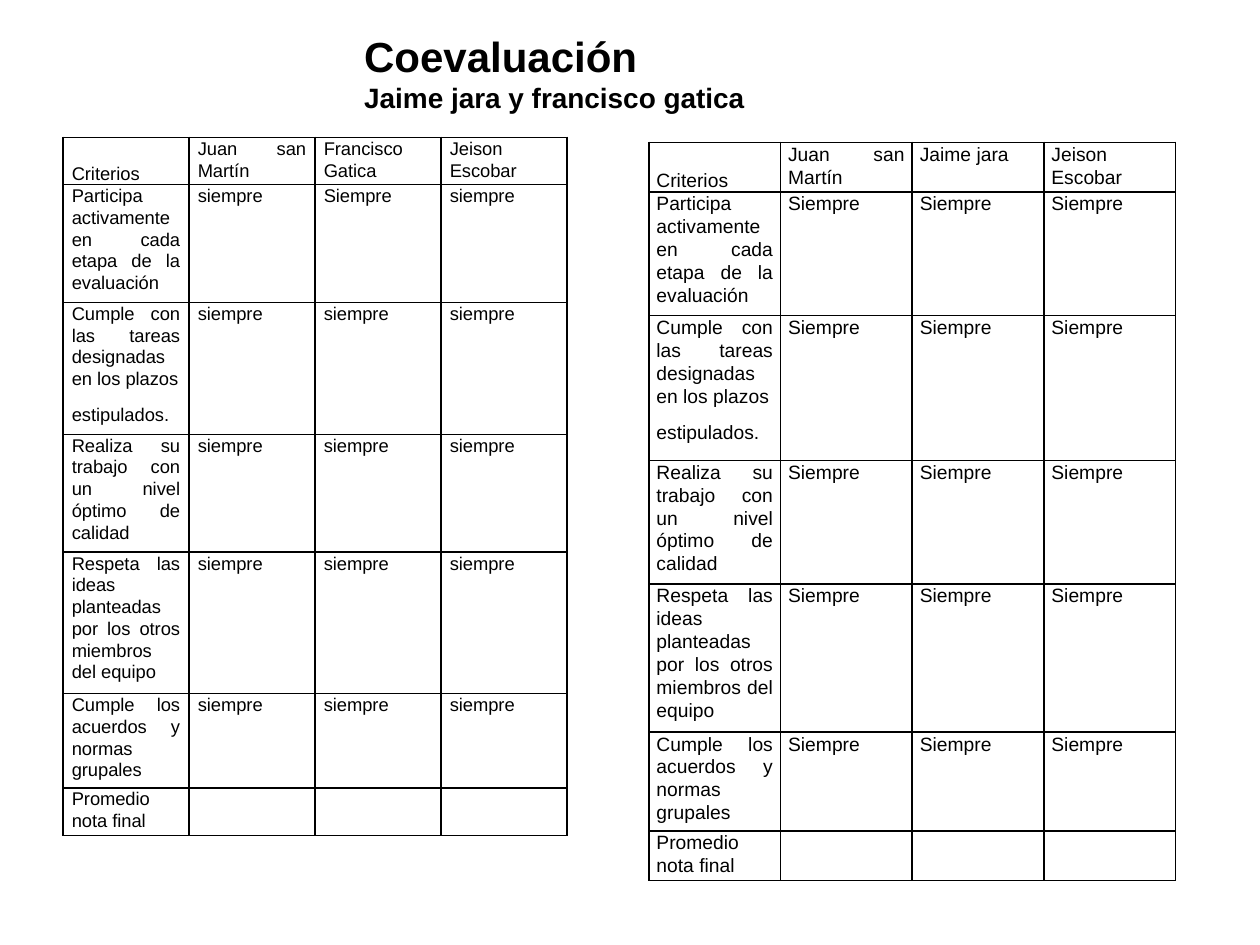
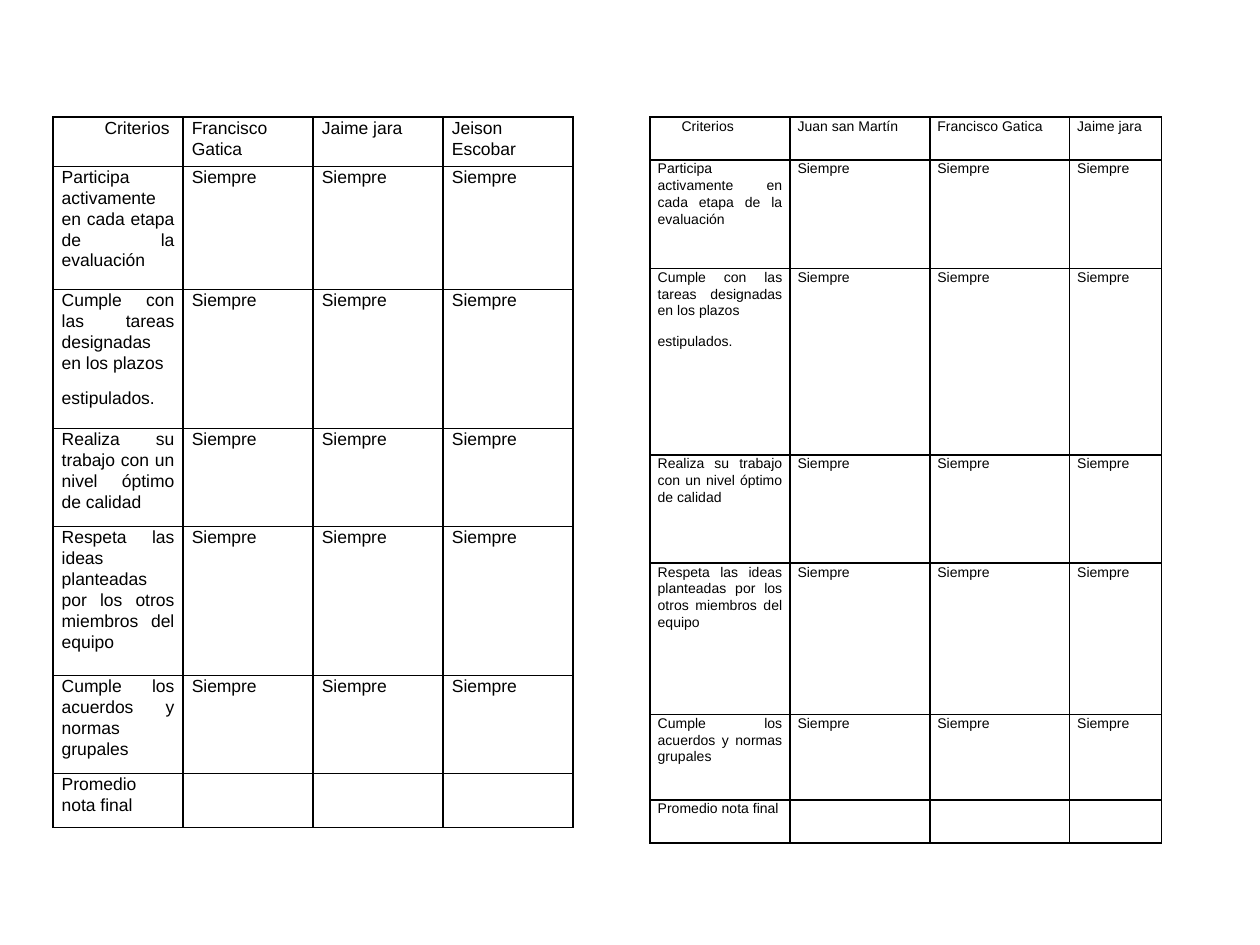
from lxml import etree
from pptx import Presentation
from pptx.dml.color import RGBColor
from pptx.enum import text
from pptx.oxml import ns
from pptx.util import Inches, Pt

INK = "000000"
TITLE_ONLY, BLANK = 5, 6
TOP, BOTTOM = text.MSO_ANCHOR.TOP, text.MSO_ANCHOR.BOTTOM

TASKS = [
    "Participa activamente en cada etapa de la evaluación",
    "Cumple con las tareas designadas en los plazos\nestipulados.",
    "Realiza su trabajo con un nivel óptimo de calidad",
    "Respeta las ideas planteadas por los otros miembros del equipo",
    "Cumple los acuerdos y normas grupales",
]
JUAN, PACO = "Juan san Martín", "Francisco Gatica"
JAIME, JEISON = "Jaime jara", "Jeison Escobar"


def color(code):
    return RGBColor.from_string(code)


class Deck:
    """Holds the shared style and the current slide."""

    font = {"name": "Arial", "bold": False}
    para = {"alignment": text.PP_ALIGN.JUSTIFY, "line_spacing": 1.07,
            "space_after": Pt(8)}

    def __init__(self):
        self.prs = Presentation()
        self.prs.slide_width, self.prs.slide_height = Inches(10), Inches(7.5)
        self.slide = None

    def add(self, layout):
        self.slide = self.prs.slides.add_slide(self.prs.slide_layouts[layout])

    def style(self, par, para, **font):
        for key, val in para.items():
            setattr(par, key, val)
        for run in par.runs:
            for key, val in {**self.font, **font}.items():
                setattr(run.font, key, val)
            run.font.color.rgb = color(INK)

    def title(self, box, lines):
        """Fill the title placeholder with (words, size) lines."""
        shape = self.slide.shapes.title
        names = ("left", "top", "width", "height")
        for name, val in zip(names, box):
            setattr(shape, name, Inches(val))
        frame = shape.text_frame
        frame.text = "\n".join(words for words, _ in lines)
        frame.word_wrap = True
        frame.auto_size = text.MSO_AUTO_SIZE.SHAPE_TO_FIT_TEXT
        frame.vertical_anchor = text.MSO_ANCHOR.MIDDLE
        for par, (_, size) in zip(frame.paragraphs, lines):
            self.style(par, {"alignment": text.PP_ALIGN.LEFT},
                       size=Pt(size), bold=True)

    def border(self, cell):
        props = cell._tc.get_or_add_tcPr()
        for side in ("a:lnL", "a:lnR", "a:lnT", "a:lnB"):
            line = etree.SubElement(props, ns.qn(side), w=str(Pt(1)))
            fill = etree.SubElement(line, ns.qn("a:solidFill"))
            etree.SubElement(fill, ns.qn("a:srgbClr"), val=INK)

    def cell(self, cell, words, size, inset, indent=0, anchor=TOP):
        self.border(cell)
        cell.fill.background()
        look = {"margin_left": Inches(inset + indent),
                "margin_right": Inches(inset), "margin_top": 0,
                "margin_bottom": 0, "vertical_anchor": anchor}
        for key, val in look.items():
            setattr(cell, key, val)
        if words:
            cell.text_frame.text = words
            for par in cell.text_frame.paragraphs:
                self.style(par, self.para, size=Pt(size))

    def grid(self, left, top, cols, rows, peers, size, inset,
             mark="Siempre", odd=None, indent=0, anchor=TOP):
        """Draw one rating table; odd maps (row, column) to another mark."""
        data = [["Criterios", *peers]]
        data += [[task] + [mark] * len(peers) for task in TASKS]
        data += [["Promedio nota final"] + [""] * len(peers)]
        for (row, col), words in (odd or {}).items():
            data[row][col] = words

        table = self.slide.shapes.add_table(
            len(rows), len(cols), Inches(left), Inches(top),
            Inches(sum(cols)), Inches(sum(rows))).table
        table.first_row = table.horz_banding = False
        for col, width in zip(table.columns, cols):
            col.width = Inches(width)
        for row, high in zip(table.rows, rows):
            row.height = Inches(high)
        for r, line in enumerate(data):
            for c, words in enumerate(line):
                head = (indent, anchor) if r == c == 0 else ()
                self.cell(table.cell(r, c), words, size, inset, *head)


def main():
    deck = Deck()

    # Ratings by Jaime and Francisco
    deck.add(TITLE_ONLY)
    deck.title((2.79, 0.19, 4.14, 0.77),
               [("Coevaluación", 24), ("Jaime jara y francisco gatica", 16)])
    deck.grid(0.5, 1.09, [1] * 4, [0.18, 0.77, 0.87, 0.57, 0.77, 0.57, 0.38],
              [JUAN, PACO, JEISON], 10.5, 0.07, mark="siempre",
              odd={(1, 2): "Siempre"}, anchor=BOTTOM)
    deck.grid(5.15, 1.13, [4.18 / 4] * 4,
              [0.37, 0.95, 1.15, 0.95, 1.14, 0.76, 0.37],
              [JUAN, JAIME, JEISON], 11, 0.06, anchor=BOTTOM)

    # Ratings by the other two members
    deck.add(BLANK)
    deck.grid(0.42, 0.93, [4.13 / 4] * 4,
              [0.39, 0.98, 1.1, 0.78, 1.18, 0.78, 0.43],
              [PACO, JAIME, JEISON], 10, 0.07, indent=0.34)
    deck.grid(5.16, 0.93, [1.11] * 3 + [0.73],
              [0.34, 0.86, 1.48, 0.86, 1.2, 0.68, 0.34],
              [JUAN, PACO, JAIME], 8, 0.06, indent=0.19)

    deck.prs.save("out.pptx")


if __name__ == "__main__":
    main()
